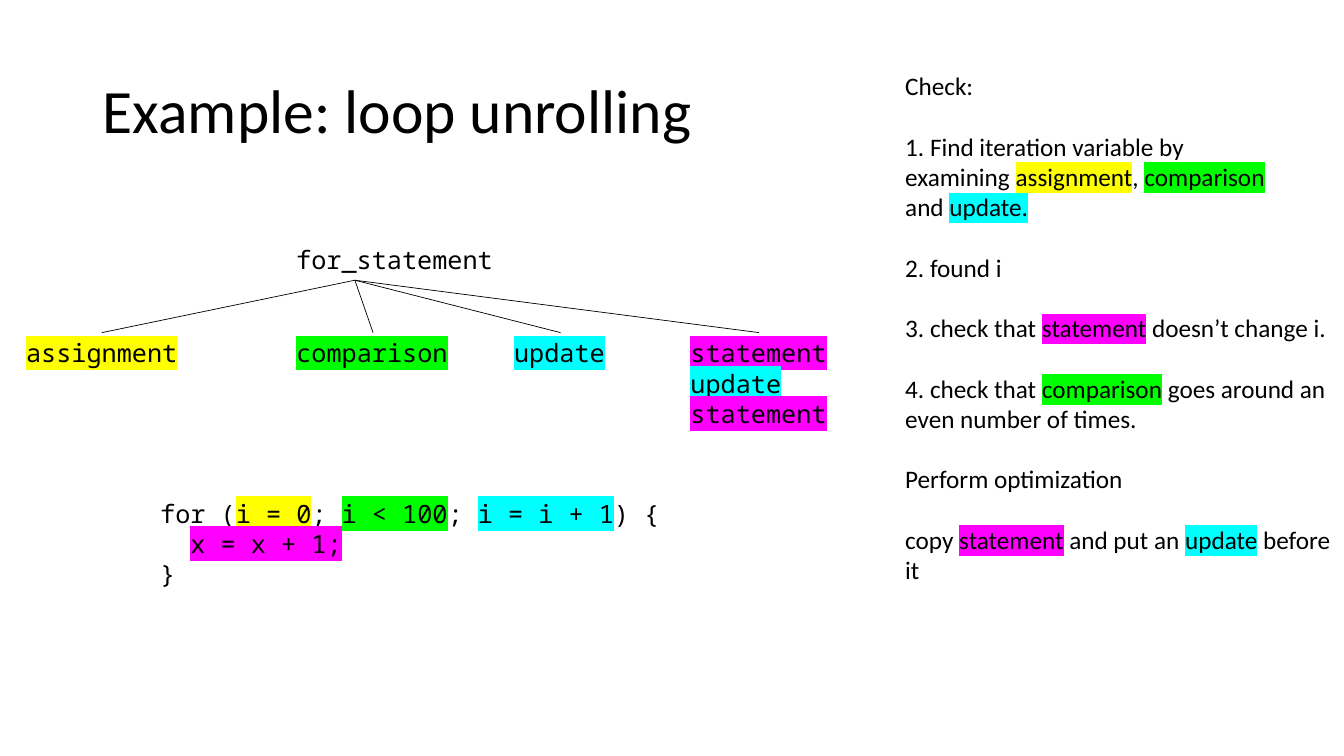
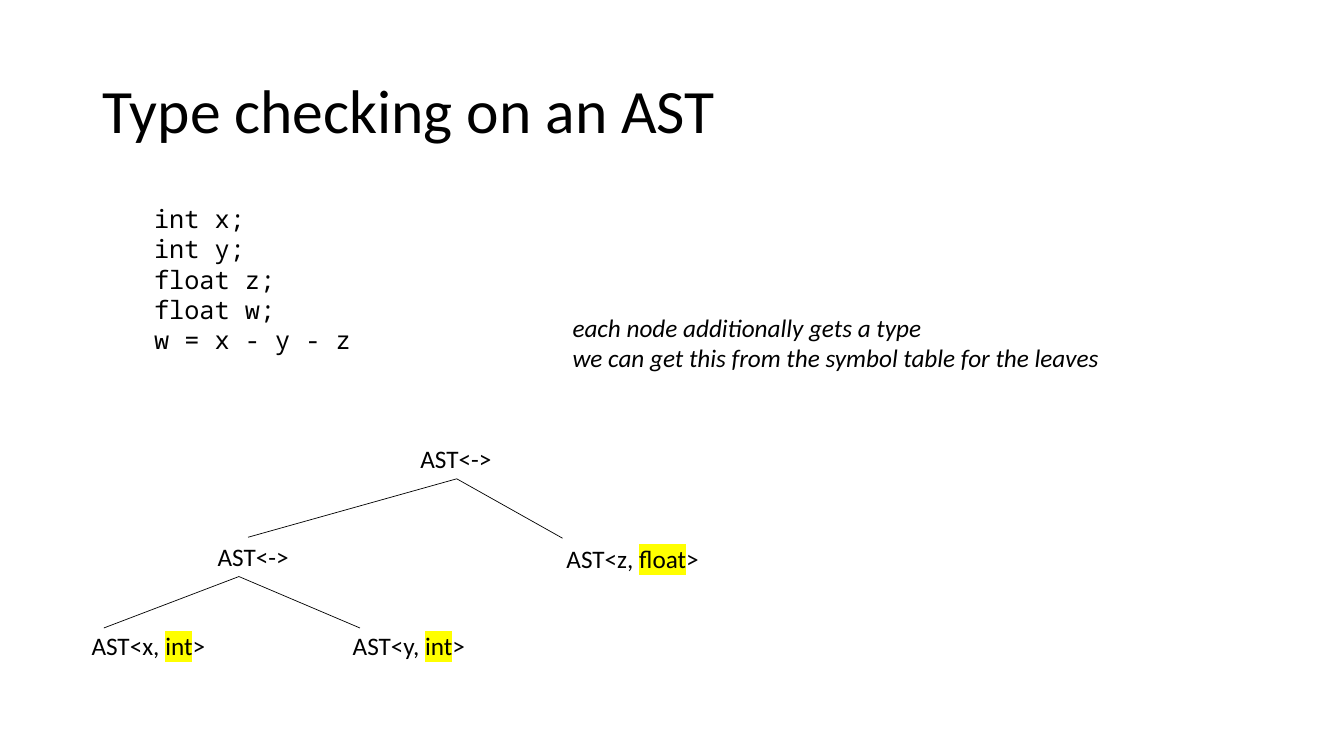
from lxml import etree
from pptx import Presentation
from pptx.dml.color import RGBColor
from pptx.enum.shapes import MSO_CONNECTOR
from pptx.enum.text import MSO_ANCHOR, MSO_AUTO_SIZE
from pptx.oxml.ns import qn
from pptx.util import Inches, Pt

STRAIGHT = MSO_CONNECTOR.STRAIGHT
MIDDLE = MSO_ANCHOR.MIDDLE
GROW = MSO_AUTO_SIZE.SHAPE_TO_FIT_TEXT

# Shared style
BLACK = RGBColor(0x00, 0x00, 0x00)
YELLOW = RGBColor(0xFF, 0xFF, 0x00)
GREEN = RGBColor(0x00, 0xFF, 0x00)
CYAN = RGBColor(0x00, 0xFF, 0xFF)
MAGENTA = RGBColor(0xFF, 0x00, 0xFF)
SANS = "Calibri"
MONO = "Noto Sans Mono"
TITLE_SIZE = 44
BODY_SIZE = 18
BLANK_LINE = Pt(21.6)  # one line of body text

# Inches
LINE_HEIGHT = 0.303
MONO_CHAR = 0.151
INSETS_X = 0.2
INSETS_Y = 0.1


def add_piece(paragraph, piece, font, size, italic):
    """Add a run; a piece is a string or a (string, highlight) pair."""
    text, highlight = (piece, None) if isinstance(piece, str) else piece
    run = paragraph.add_run()
    run.text = text
    run.font.size = Pt(size)
    run.font.color.rgb = BLACK
    if italic:
        run.font.italic = True
    if highlight is not None:
        fill = run.font._element.find(qn("a:solidFill"))
        mark = etree.Element(qn("a:highlight"))
        etree.SubElement(mark, qn("a:srgbClr"), val=str(highlight))
        fill.addnext(mark)
    run.font.name = font


def add_text(slide, left, top, width, height, lines, font=SANS,
             size=BODY_SIZE, italic=False, wrap=False):
    """Add a text box; each line is a list of pieces."""
    box = slide.shapes.add_textbox(Inches(left), Inches(top),
                                   Inches(width), Inches(height))
    frame = box.text_frame
    frame.word_wrap = wrap
    for index, pieces in enumerate(lines):
        paragraph = frame.paragraphs[0] if index == 0 else frame.add_paragraph()
        for piece in pieces:
            add_piece(paragraph, piece, font, size, italic)
    return frame


def add_title(slide, title):
    frame = add_text(slide, 0.92, 0.4, 11.5, 1.45, [[title]],
                     size=TITLE_SIZE, wrap=True)
    frame.vertical_anchor = MIDDLE
    frame.paragraphs[0].line_spacing = 0.9


def add_label(slide, left, top, width, lines, **style):
    """Add unwrapped text whose height follows its line count."""
    height = INSETS_Y + LINE_HEIGHT * len(lines)
    frame = add_text(slide, left, top, width, height, lines, **style)
    frame.auto_size = GROW


def add_code(slide, left, top, lines):
    """Add monospaced text whose width follows its longest line."""
    longest = max(sum(len(piece if isinstance(piece, str) else piece[0])
                      for piece in pieces) for pieces in lines)
    add_label(slide, left, top, INSETS_X + MONO_CHAR * longest, lines, font=MONO)


def add_branches(slide, parent, children):
    """Draw a thin line from the parent point to every child point."""
    for child in children:
        branch = slide.shapes.add_connector(
            STRAIGHT, *(Inches(value) for value in (*parent, *child)))
        branch.line.color.rgb = BLACK
        branch.line.width = Pt(0.5)
        etree.SubElement(branch._element.spPr, qn("a:effectLst"))


def add_steps(slide, left, top, width, height, steps):
    """Add wrapped steps, each a list of lines, one blank line apart."""
    lines = [line for step in steps for line in step]
    frame = add_text(slide, left, top, width, height, lines, wrap=True)
    frame.auto_size = GROW
    first = 0
    for step in steps:
        if first:
            frame.paragraphs[first].space_before = BLANK_LINE
        first += len(step)


def build_loop_unrolling(slide):
    add_title(slide, "Example: loop unrolling")

    # Syntax tree
    leaf_top = 3.3
    add_code(slide, 2.84, 2.37, [["for_statement"]])
    leaves = [
        (0.16, 1.01, [("assignment", YELLOW)]),
        (2.84, 3.7, [("comparison", GREEN)]),
        (5, 5.56, [("update", CYAN)]),
        (6.75, 7.53, [("statement", MAGENTA), ("update", CYAN),
                      ("statement", MAGENTA)]),
    ]
    for left, _, words in leaves:
        add_code(slide, left, leaf_top, [[word] for word in words])
    add_branches(slide, (3.52, 2.78), [(x, leaf_top) for _, x, _ in leaves])

    # Source loop
    add_code(slide, 1.49, 4.89, [
        ["for (", ("i = 0", YELLOW), "; ", ("i < 100", GREEN), "; ",
         ("i = i + 1", CYAN), ") {"],
        ["  ", ("x = x + 1;", MAGENTA)],
        ["}"],
    ])

    # Checks and optimization
    add_steps(slide, 8.88, 0.65, 4.47, 5.25, [
        [["Check:"]],
        [["1. Find iteration variable by"],
         ["examining ", ("assignment", YELLOW), ", ", ("comparison", GREEN)],
         ["and ", ("update.", CYAN)]],
        [["2. found i"]],
        [["3. check that ", ("statement", MAGENTA), " doesn’t change i."]],
        [["4. check that ", ("comparison", GREEN),
          " goes around an even number of times."]],
        [["Perform optimization"]],
        [["copy ", ("statement", MAGENTA), " and put an ", ("update", CYAN),
          " before it"]],
    ])


def build_type_checking(slide):
    add_title(slide, "Type checking on an AST")

    # Source code and remark
    add_code(slide, 1.43, 1.97, [["int x;"], ["int y;"], ["float z;"],
                                 ["float w;"], ["w = x - y - z"]])
    add_label(slide, 5.58, 3.05, 5.48, [
        ["each node additionally gets a type"],
        ["we can get this from the symbol table for the leaves"],
    ], italic=True)

    # Operator nodes
    for left, top in ((4.07, 4.35), (2.06, 5.32)):
        add_label(slide, left, top, 0.91, [["AST<->"]])

    # Typed leaves
    for left, top, width, name, kind in ((0.81, 6.2, 1.34, "x", "int"),
                                         (3.4, 6.2, 1.33, "y", "int"),
                                         (5.52, 5.34, 1.53, "z", "float")):
        add_label(slide, left, top, width,
                  [[f"AST<{name}, ", (kind, YELLOW), ">"]])

    add_branches(slide, (4.53, 4.75), [(2.46, 5.33), (5.58, 5.34)])
    add_branches(slide, (2.37, 5.72), [(1.03, 6.23), (3.57, 6.23)])


def main():
    deck = Presentation()
    deck.slide_width = Inches(13.33)
    deck.slide_height = Inches(7.5)
    blank = deck.slide_layouts[6]
    for build in (build_loop_unrolling, build_type_checking):
        build(deck.slides.add_slide(blank))
    deck.save("out.pptx")


if __name__ == "__main__":
    main()
